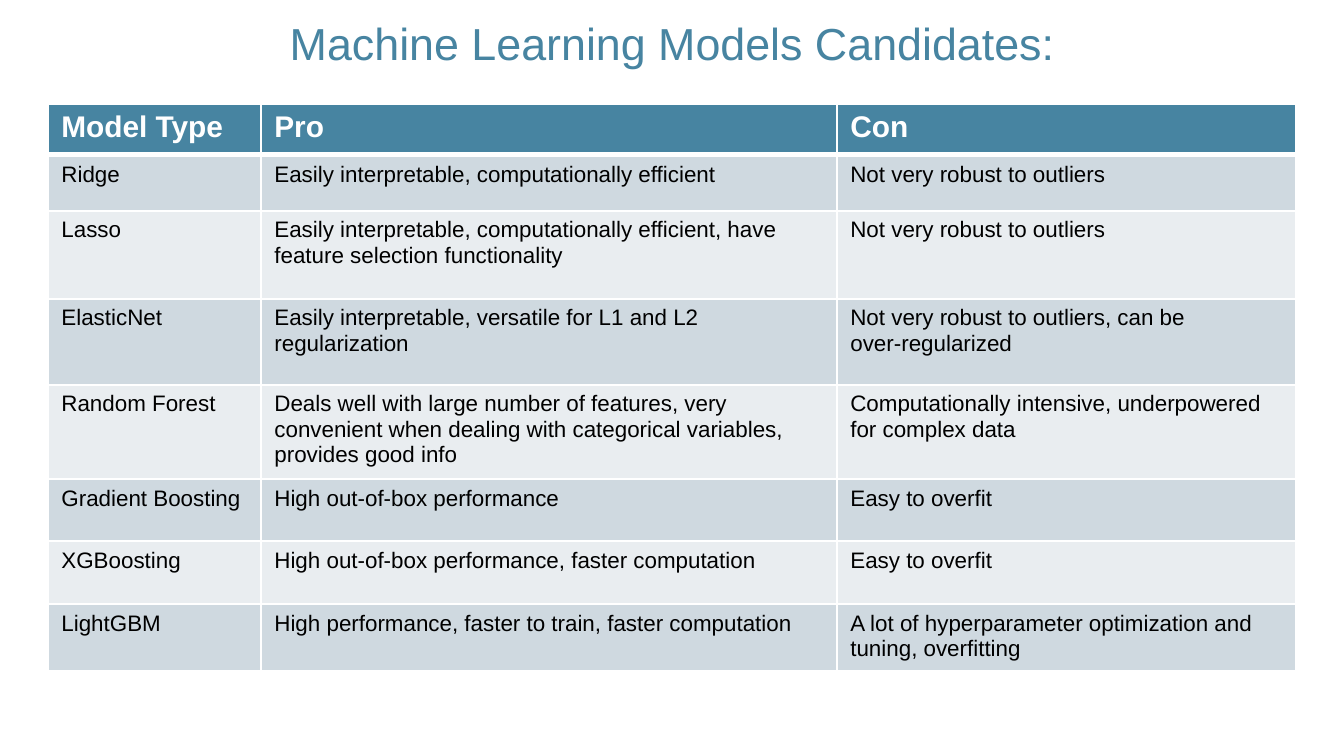
"""Build a slide with a table comparing machine learning model candidates."""
from lxml.etree import SubElement
from pptx import Presentation
from pptx.dml.color import RGBColor
from pptx.enum.text import MSO_ANCHOR as Anchor, PP_ALIGN as Align
from pptx.oxml.ns import qn
from pptx.util import Pt

TITLE = "Machine Learning Models Candidates:"
ROWS = [
    ("Model Type", "Pro", "Con"),
    ("Ridge", "Easily interpretable, computationally efficient", "Not very robust to outliers"),
    ("Lasso",
     "Easily interpretable, computationally efficient, have\nfeature selection functionality",
     "Not very robust to outliers"),
    ("ElasticNet",
     "Easily interpretable, versatile for L1 and L2\nregularization",
     "Not very robust to outliers, can be\nover-regularized"),
    ("Random Forest",
     "Deals well with large number of features, very\n"
     "convenient when dealing with categorical variables,\nprovides good info",
     "Computationally intensive, underpowered\nfor complex data"),
    ("Gradient Boosting", "High out-of-box performance", "Easy to overfit"),
    ("XGBoosting", "High out-of-box performance, faster computation", "Easy to overfit"),
    ("LightGBM",
     "High performance, faster to train, faster computation",
     "A lot of hyperparameter optimization and\ntuning, overfitting"),
]
COLUMN_WIDTHS = [213, 576, 459]
ROW_HEIGHTS = [51, 56, 88, 86, 93, 62, 63, 63]
TABLE_LEFT, TABLE_TOP = 48, 104
SLIDE_WIDTH, SLIDE_HEIGHT, TITLE_HEIGHT = 1344, 756, 85
TEAL, WHITE, BLACK = "4784A1", "FFFFFF", "000000"
BANDS = ["E9EDF0", "CFD9E0"]
TITLE_FONT = {"name": "Arial", "size": Pt(24), "bold": False}
HEADER_FONT = {"name": "Arial", "size": Pt(16), "bold": True}
BODY_FONT = {"name": "Arial", "size": Pt(12), "bold": False}


def px(pixels):
    return round(pixels * 914400 / 134.4)


def color(value):
    return RGBColor.from_string(value)


def write(frame, text, font_format, font_color):
    frame.text = text
    for paragraph in frame.paragraphs:
        font = paragraph.runs[0].font
        for name, value in font_format.items():
            setattr(font, name, value)
        font.color.rgb = color(font_color)


def add_borders(cell, bottom_width):
    properties = cell._tc.get_or_add_tcPr()
    widths = {"lnL": 1, "lnR": 1, "lnT": 1, "lnB": bottom_width}
    for position, (side, width) in enumerate(widths.items()):
        line = SubElement(properties, qn("a:" + side), w=str(Pt(width)))
        fill = SubElement(line, qn("a:solidFill"))
        SubElement(fill, qn("a:srgbClr"), val=WHITE)
        properties.insert(position, line)


def add_title(slide):
    shape = slide.shapes.add_textbox(0, 0, px(SLIDE_WIDTH), px(TITLE_HEIGHT))
    frame = shape.text_frame
    frame.word_wrap = True
    frame.vertical_anchor = Anchor.MIDDLE
    write(frame, TITLE, TITLE_FONT, TEAL)
    paragraph = frame.paragraphs[0]
    paragraph.alignment = Align.CENTER
    paragraph.space_before = Pt(4.8)


def add_model_table(slide):
    table = slide.shapes.add_table(
        len(ROWS), len(COLUMN_WIDTHS), px(TABLE_LEFT), px(TABLE_TOP),
        px(sum(COLUMN_WIDTHS)), px(sum(ROW_HEIGHTS))).table
    for column, width in zip(table.columns, COLUMN_WIDTHS):
        column.width = px(width)
    for index, (row, height, texts) in enumerate(zip(table.rows, ROW_HEIGHTS, ROWS)):
        row.height = px(height)
        header = index == 0
        for cell, text in zip(row.cells, texts):
            cell.fill.solid()
            cell.fill.fore_color.rgb = color(TEAL if header else BANDS[index % 2])
            add_borders(cell, 3 if header else 1)
            write(cell.text_frame, text, HEADER_FONT if header else BODY_FONT,
                  WHITE if header else BLACK)


presentation = Presentation()
presentation.slide_width, presentation.slide_height = px(SLIDE_WIDTH), px(SLIDE_HEIGHT)
slide = presentation.slides.add_slide(presentation.slide_layouts[6])
add_title(slide)
add_model_table(slide)
presentation.save("out.pptx")
